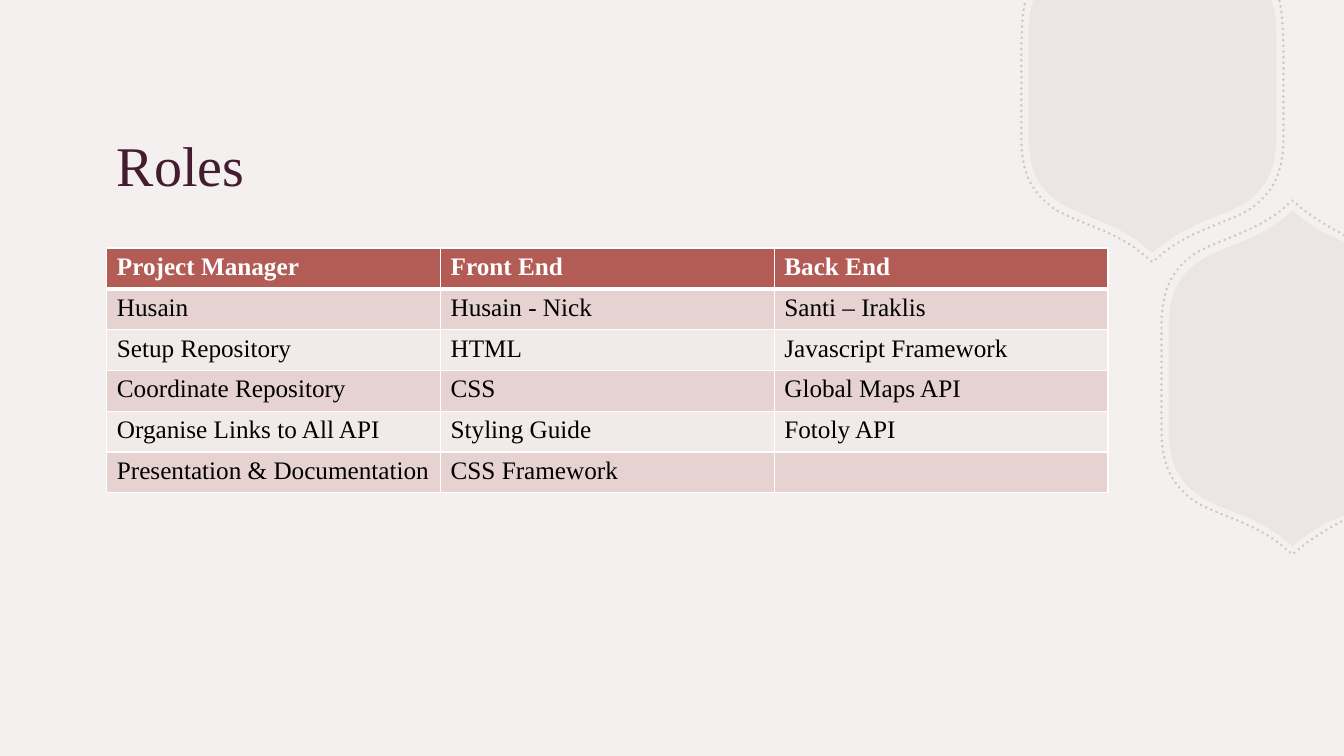
from lxml.etree import SubElement
from pptx import Presentation
from pptx.dml.color import RGBColor
from pptx.enum.dml import MSO_LINE
from pptx.enum.text import MSO_ANCHOR, PP_ALIGN
from pptx.oxml import parse_xml
from pptx.oxml.ns import nsdecls, qn
from pptx.util import Inches, Pt


def colour(hex_code):
    """Turn a hex string into a colour."""
    return RGBColor.from_string(hex_code)


def write(frame, text, size=18, ink="000000", bold=False, anchor=MSO_ANCHOR.TOP):
    """Put formatted left-aligned text into a text frame."""
    frame.text = text
    frame.vertical_anchor = anchor
    paragraph = frame.paragraphs[0]
    paragraph.alignment = PP_ALIGN.LEFT
    paragraph.font.name = "Times New Roman"
    paragraph.font.size = Pt(size)
    paragraph.font.bold = bold
    paragraph.font.color.rgb = colour(ink)


deck = Presentation()
deck.slide_width, deck.slide_height = Inches(13.33), Inches(7.5)
slide = deck.slides.add_slide(deck.slide_layouts[5])
slide.background.fill.solid()
slide.background.fill.fore_color.rgb = colour("F3F0EF")

# Half of each badge: dotted or not, mirror axis (0 = x, 1 = y) and its place,
# segment kinds (L line, C curve with two control points), points
badge_halves = [
    (False, 0, 11.43, "LCLLLLLCCL", [
        (12.61, 0), (12.62, 0.03), (12.65, 0.12), (12.66, 0.23), (12.66, 0.36),
        (12.66, 0.46), (12.66, 0.76), (12.66, 0.93), (12.66, 1.16), (12.66, 1.33),
        (12.66, 1.69), (12.56, 1.87), (12.34, 2.02),
        (12.11, 2.15), (11.81, 2.21), (11.54, 2.42), (11.43, 2.51)]),
    (False, 1, 3.755, "LCLLCCLL", [
        (13.33, 2.4), (13.13, 2.31), (13.07, 2.27), (13, 2.23), (12.93, 2.18),
        (12.82, 2.09), (12.71, 2.18), (12.44, 2.39), (12.14, 2.44), (11.91, 2.58),
        (11.69, 2.73), (11.59, 2.91), (11.59, 3.26), (11.59, 3.37), (11.59, 3.67)]),
    (True, 0, 11.43, "CLLLLCCL", [
        (12.69, 0.01), (12.73, 0.19), (12.72, 0.3), (12.73, 0.44),
        (12.73, 0.76), (12.73, 0.94), (12.73, 1.18), (12.73, 1.36),
        (12.73, 1.73), (12.62, 1.92), (12.39, 2.08),
        (12.15, 2.22), (11.83, 2.28), (11.55, 2.5), (11.43, 2.6)]),
    (True, 1, 3.745, "CLLCCLL", [
        (13.33, 2.33), (13.19, 2.26), (13.02, 2.15), (12.94, 2.09),
        (12.82, 1.99), (12.7, 2.09), (12.42, 2.31), (12.1, 2.37), (11.86, 2.51),
        (11.63, 2.67), (11.52, 2.86), (11.52, 3.23), (11.52, 3.35), (11.52, 3.66)]),
]

for dotted, axis, middle, kinds, half in badge_halves:
    mirrored = [(2 * middle - x, y) if axis == 0 else (x, 2 * middle - y)
                for x, y in reversed(half)]
    if axis == 0:
        # The tip lies on the axis and belongs to both halves
        mirrored, segments = mirrored[1:], kinds + kinds[::-1]
    else:
        segments = kinds + "L" + kinds[::-1]
    points = [(Inches(x), Inches(y)) for x, y in half + mirrored]
    builder = slide.shapes.build_freeform(*points[0])
    builder.add_line_segments(points[1:], close=not dotted)
    badge = builder.convert_to_shape()
    badge.shadow.inherit = False

    steps = iter(list(badge._element.iter(qn("a:lnTo"))))
    for kind in segments:
        step = next(steps)
        if kind == "C":
            step.tag = qn("a:cubicBezTo")
            for _ in range(2):
                follower = next(steps)
                step.append(follower[0])
                follower.getparent().remove(follower)

    if dotted:
        badge.fill.background()
        badge.line.color.rgb = colour("BFAFAA")
        badge.line.width = Pt(2)
        badge.line.dash_style = MSO_LINE.ROUND_DOT
        badge._element.spPr.find(qn("a:ln")).set("cap", "rnd")
    else:
        badge.line.fill.background()
        badge.fill.solid()
        badge.fill.fore_color.rgb = colour("BFAFAA")
    for tint in badge._element.spPr.iter(qn("a:srgbClr")):
        SubElement(tint, qn("a:alpha"), val="65000" if dotted else "15000")

heading = slide.shapes.title
heading.left, heading.top = Inches(1.06), Inches(1.05)
heading.width, heading.height = Inches(9.93), Inches(1.16)
write(heading.text_frame, "Roles", size=40, ink="431C30", anchor=MSO_ANCHOR.MIDDLE)

role_rows = [
    ("Project Manager", "Front End", "Back End"),
    ("Husain", "Husain - Nick", "Santi – Iraklis"),
    ("Setup Repository", "HTML", "Javascript Framework"),
    ("Coordinate Repository", "CSS", "Global Maps API"),
    ("Organise Links to All API", "Styling Guide", "Fotoly API"),
    ("Presentation & Documentation", "CSS Framework", ""),
]
roles = slide.shapes.add_table(len(role_rows), 3, Inches(1.06), Inches(2.46),
                               Inches(9.93), Inches(2.43)).table
for r, entries in enumerate(role_rows):
    header = r == 0
    for c, entry in enumerate(entries):
        cell = roles.cell(r, c)
        write(cell.text_frame, entry, bold=header, ink="FFFFFF" if header else "000000")
        cell.fill.solid()
        cell.fill.fore_color.rgb = colour("B35B55" if header else ("F2EAE9", "E5D2D1")[r % 2])
        rules = {"L": 1, "R": 1, "T": 3 if r == 1 else 1, "B": 3 if header else 1}
        for place, (side, width) in enumerate(rules.items()):
            cell._tc.get_or_add_tcPr().insert(place, parse_xml(
                f'<a:ln{side} {nsdecls("a")} w="{Pt(width)}"><a:solidFill>'
                f'<a:srgbClr val="FFFFFF"/></a:solidFill></a:ln{side}>'))

deck.save("out.pptx")
